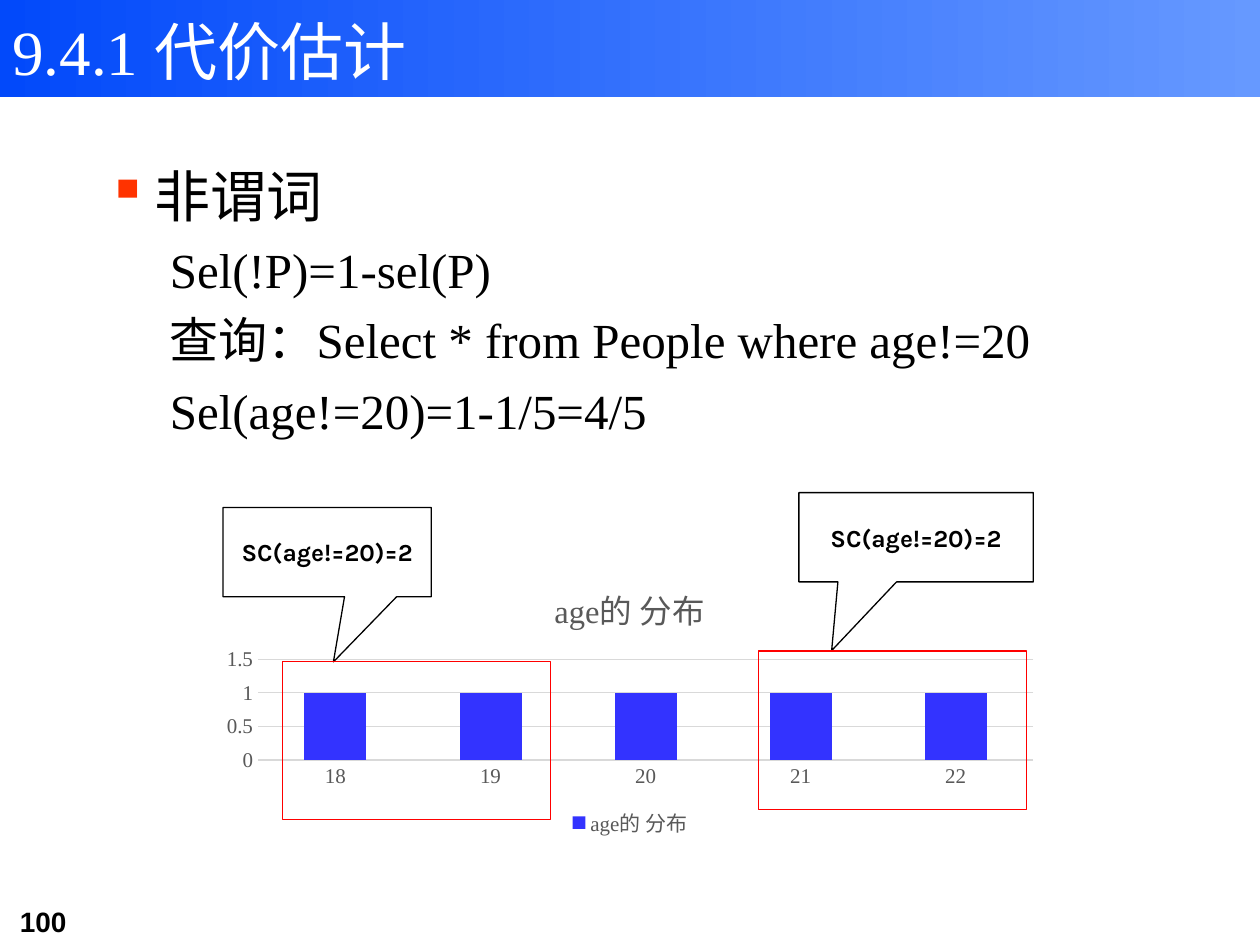
"""Build the cost estimation slide on negated predicates."""
from dataclasses import dataclass

from lxml import etree
from pptx import Presentation
from pptx.chart.data import CategoryChartData
from pptx.dml.color import RGBColor
from pptx.enum.chart import XL_CHART_TYPE, XL_LEGEND_POSITION, XL_TICK_MARK
from pptx.enum.shapes import MSO_SHAPE
from pptx.enum.text import MSO_ANCHOR, PP_ALIGN
from pptx.oxml.ns import qn
from pptx.util import Pt

STACKED = XL_CHART_TYPE.COLUMN_STACKED
BOTTOM = XL_LEGEND_POSITION.BOTTOM
NO_TICK = XL_TICK_MARK.NONE
RECT = MSO_SHAPE.RECTANGLE
CALLOUT = MSO_SHAPE.RECTANGULAR_CALLOUT
MIDDLE = MSO_ANCHOR.MIDDLE
CENTER = PP_ALIGN.CENTER


@dataclass(frozen=True)
class Theme:
    serif: str = "Times New Roman"
    sans: str = "Arial"
    note: str = "Karla"
    black: str = "000000"
    white: str = "FFFFFF"
    gray: str = "595959"
    grid: str = "D9D9D9"
    red: str = "FF0000"
    mark: str = "FF3300"
    bar: str = "3333FF"
    band: tuple = ("0249FA", "6699FF")
    title: float = 36
    head: float = 32
    body: float = 28
    page: float = 16
    label: float = 14
    axis: float = 12
    caption: float = 18.6
    line: float = 0.75


THEME = Theme()


def rgb(code):
    return RGBColor.from_string(code)


def style(font, name, size, color, bold=False):
    font.name, font.size, font.bold = name, Pt(size), bold
    font.color.rgb = rgb(color)


def stroke(line, color):
    line.color.rgb = rgb(color)
    line.width = Pt(THEME.line)


def add_text(slide, box, lines, name, size, color, bold=False):
    frame = slide.shapes.add_textbox(*map(Pt, box)).text_frame
    frame.word_wrap = True
    frame.text = "\n".join(lines)
    for para in frame.paragraphs:
        style(para.runs[0].font, name, size, color, bold)
    return frame


def add_shape(slide, kind, box, color):
    shape = slide.shapes.add_shape(kind, *map(Pt, box))
    shape.shadow.inherit = False
    shape.fill.background()
    stroke(shape.line, color)
    return shape


def add_band(slide, box):
    band = add_shape(slide, RECT, box, THEME.white)
    band.line.fill.background()
    band.fill.gradient()
    band.fill.gradient_angle = 0
    for stop, color, place in zip(band.fill.gradient_stops, THEME.band, (0, 1)):
        stop.color.rgb = rgb(color)
        stop.position = place


def indent(para, left, first):
    props = para._p.get_or_add_pPr()
    props.set("marL", str(Pt(left)))
    props.set("indent", str(Pt(first)))
    return props


def add_body(slide, box, lines):
    frame = add_text(slide, box, lines, THEME.serif, THEME.body, THEME.black)
    head, *rest = frame.paragraphs
    props = indent(head, 27, -27)
    color = etree.SubElement(props, qn("a:buClr"))
    etree.SubElement(color, qn("a:srgbClr"), val=THEME.mark)
    etree.SubElement(props, qn("a:buChar"), char="▪")
    head.runs[0].font.size = Pt(THEME.head)
    for para in rest:
        para.level = 1
        indent(para, 36, 0)
        para.space_before = Pt(6.5)


def add_note(slide, box, tip, text):
    note = add_shape(slide, CALLOUT, box, THEME.black)
    note.fill.solid()
    note.fill.fore_color.rgb = rgb(THEME.white)
    note.adjustments[0], note.adjustments[1] = tip
    frame = note.text_frame
    frame.text = text
    frame.word_wrap = False
    frame.vertical_anchor = MIDDLE
    para = frame.paragraphs[0]
    para.alignment = CENTER
    style(para.runs[0].font, THEME.note, THEME.label, THEME.black, True)


def add_chart(slide, box, name, cats, vals):
    data = CategoryChartData()
    data.categories = cats
    data.add_series(name, vals)
    chart = slide.shapes.add_chart(STACKED, *map(Pt, box), data).chart
    style(chart.font, THEME.serif, THEME.axis, THEME.gray)
    title = chart.chart_title.text_frame
    title.text = name
    style(title.paragraphs[0].runs[0].font, THEME.serif, THEME.caption, THEME.gray)
    chart.has_legend = True
    chart.legend.position = BOTTOM
    chart.legend.include_in_layout = False
    plot = chart.plots[0]
    plot.gap_width, plot.overlap = 150, 100
    plot.vary_by_categories = False
    fill = plot.series[0].format.fill
    fill.solid()
    fill.fore_color.rgb = rgb(THEME.bar)
    for axis in (chart.category_axis, chart.value_axis):
        axis.major_tick_mark = axis.minor_tick_mark = NO_TICK
        style(axis.tick_labels.font, THEME.serif, THEME.axis, THEME.gray)
    stroke(chart.category_axis.format.line, THEME.grid)
    scale = chart.value_axis
    scale.minimum_scale, scale.maximum_scale, scale.major_unit = 0, 1.5, 0.5
    scale.format.line.fill.background()
    stroke(scale.major_gridlines.format.line, THEME.grid)


def main():
    deck = Presentation()
    deck.slide_width, deck.slide_height = Pt(720), Pt(540)
    slide = deck.slides.add_slide(deck.slide_layouts[6])
    add_band(slide, (0, 0, 720, 55.5))
    add_text(slide, (4.3, 513.4, 88, 26.6), ["100"],
             THEME.sans, THEME.page, THEME.black, True)
    add_body(slide, (54, 88.5, 612, 392), [
        "非谓词",
        "Sel(!P)=1-sel(P)",
        "查询：Select * from People where age!=20",
        "Sel(age!=20)=1-1/5=4/5",
    ])
    add_chart(slide, (120, 322, 480, 160), "age的 分布",
              ["18", "19", "20", "21", "22"], [1] * 5)
    for box, tip in (
        ((127.5, 290, 119, 51), (0.03, 1.23)),
        ((456.5, 281.5, 134, 51), (-0.36, 1.27)),
    ):
        add_note(slide, box, tip, "SC(age!=20)=2")
    for left, top in ((161.5, 378), (433.5, 372)):
        add_shape(slide, RECT, (left, top, 153, 90.5), THEME.red)
    add_text(slide, (0, 3.6, 553, 51), ["9.4.1 代价估计"],
             THEME.serif, THEME.title, THEME.white)
    deck.save("out.pptx")


if __name__ == "__main__":
    main()
